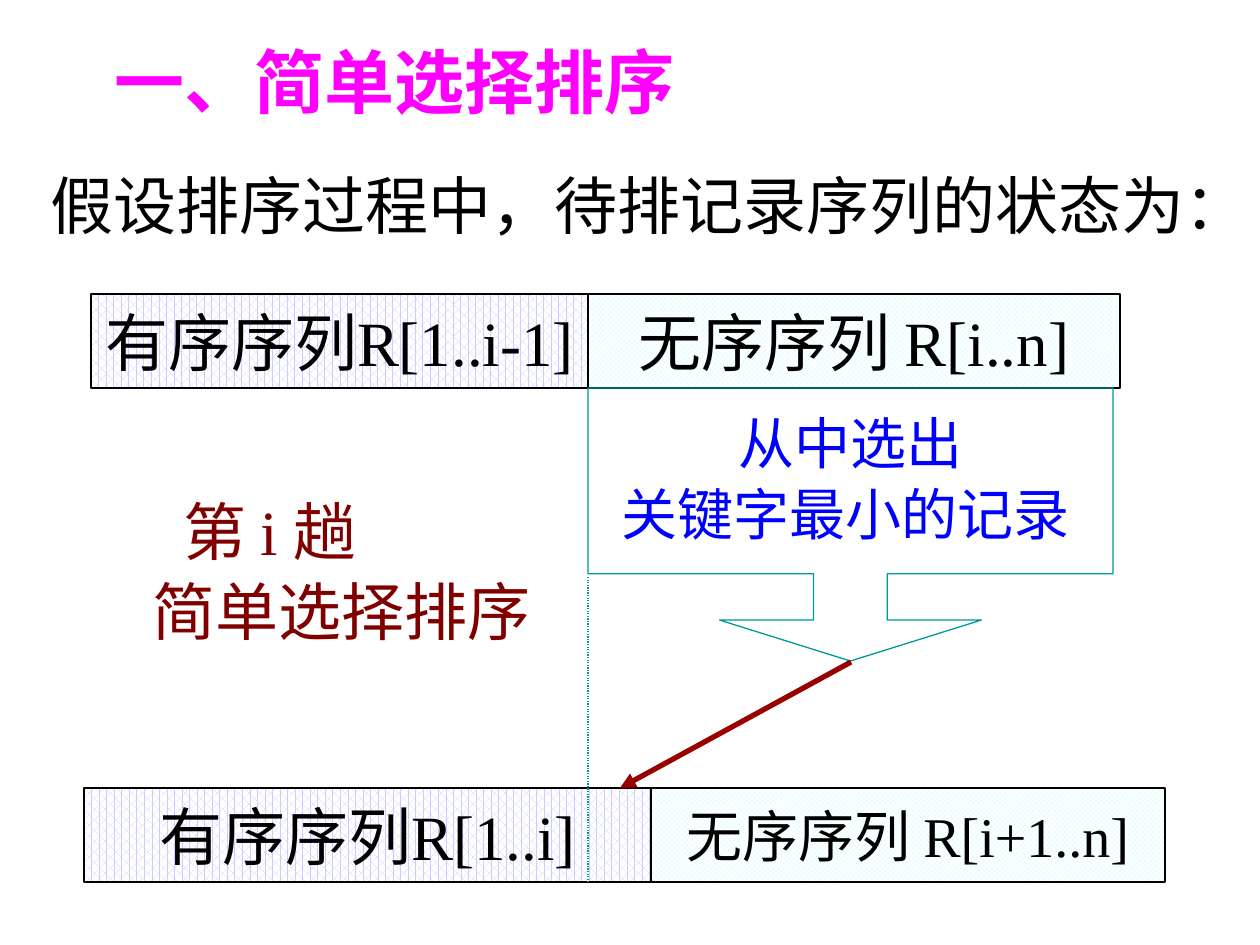
import pptx
import pptx.util
import pptx.dml.color
import pptx.enum.dml
import pptx.enum.shapes
import pptx.enum.text
import pptx.oxml
import pptx.oxml.ns

PX = 914400 / 126
THEME = {
    "title": {"size": 40, "color": "FF00FF", "bold": True},
    "body": {"size": 36, "color": "000000"},
    "compact": {"size": 32, "color": "000000"},
    "pass": {"size": 36, "color": "800000"},
    "select": {"size": 32, "color": "0000FF"},
    "latin": "Times New Roman", "cjk": "Noto Sans CJK SC",
    "outline": "000000", "teal": "009999", "arrow": "990000",
    "sorted": "CCCCFF", "unsorted": "CCFFFF", "paper": "FFFFFF",
}
RGB = pptx.dml.color.RGBColor.from_string
LEFT, CENTER = pptx.enum.text.PP_ALIGN.LEFT, pptx.enum.text.PP_ALIGN.CENTER
SHAPES = pptx.enum.shapes.MSO_SHAPE
PATTERNS = pptx.enum.dml.MSO_PATTERN


def emu(*lengths):
    return [pptx.util.Emu(round(length * PX)) for length in lengths]


def write(frame, lines, style, frame_format, spacing=1.0):
    """Each line is (alignment, [(text, font name), ...])."""
    for name, value in frame_format.items():
        setattr(frame, name, value)
    for index, (alignment, runs) in enumerate(lines):
        paragraph = frame.add_paragraph() if index else frame.paragraphs[0]
        for name, value in {"alignment": alignment, "line_spacing": spacing}.items():
            setattr(paragraph, name, value)
        for text, typeface in runs:
            run = paragraph.add_run()
            run.text = text
            font_format = {"name": typeface, "size": pptx.util.Pt(style["size"]),
                           "bold": style.get("bold", False)}
            for name, value in font_format.items():
                setattr(run.font, name, value)
            run.font.color.rgb = RGB(style["color"])


deck = pptx.Presentation()
deck.slide_width, deck.slide_height = emu(1260, 945)
slide = deck.slides.add_slide(deck.slide_layouts[5])
latin, cjk = THEME["latin"], THEME["cjk"]
grow = {"auto_size": pptx.enum.text.MSO_AUTO_SIZE.SHAPE_TO_FIT_TEXT,
        "vertical_anchor": pptx.enum.text.MSO_ANCHOR.TOP}

# Title
title = slide.shapes.title
title.left, title.top, title.width, title.height = emu(102, 32, 591, 97)
write(title.text_frame, [(LEFT, [("一、简单选择排序", latin)])],
      THEME["title"], {**grow, "word_wrap": False})

# Premise
premise = slide.shapes.add_textbox(*emu(38, 160, 1222, 88))
write(premise.text_frame, [(LEFT, [("假设排序过程中，待排记录序列的状态为：", latin)])],
      THEME["body"], {**grow, "word_wrap": False})

# Sequence before and after the pass
sequences = [
    (91, 294, 497, "sorted", "body", [("有序序列R[1..i-1]", latin)]),
    (588, 294, 532, "unsorted", "body", [("无序序列 R[i..n]", latin)]),
    (84, 788, 567, "sorted", "body", [("有序序列", cjk), ("R[1..i]", latin)]),
    (651, 788, 514, "unsorted", "compact", [("无序序列 ", cjk), ("R[i+1..n]", latin)]),
]
patterns = {"sorted": PATTERNS.PERCENT_60, "unsorted": PATTERNS.TRELLIS}
for left, top, width, state, style, runs in sequences:
    sequence = slide.shapes.add_shape(SHAPES.RECTANGLE, *emu(left, top, width, 94))
    sequence.shadow.inherit = False
    sequence.fill.patterned()
    sequence.fill.pattern = patterns[state]
    sequence.fill.fore_color.rgb = RGB(THEME[state])
    sequence.fill.back_color.rgb = RGB(THEME["paper"])
    sequence.line.color.rgb = RGB(THEME["outline"])
    sequence.line.width = pptx.util.Pt(0.75)
    write(sequence.text_frame, [(CENTER, runs)], THEME[style],
          {"word_wrap": False, "vertical_anchor": pptx.enum.text.MSO_ANCHOR.MIDDLE})

# Pass label, its first line indented
pass_label = slide.shapes.add_textbox(*emu(140, 483, 427, 171))
write(pass_label.text_frame,
      [(LEFT, [("第 i 趟", latin)]), (LEFT, [("简单选择排序", latin)])],
      THEME["pass"], {**grow, "word_wrap": True}, 1.05)
first_line = pass_label.text_frame.paragraphs[0]._p.get_or_add_pPr()
first_line.set("marL", "0")
first_line.set("indent", str(emu(31)[0]))

# Selection step and its callout
selection = slide.shapes.add_textbox(*emu(609, 399, 483, 154))
write(selection.text_frame,
      [(CENTER, [("从中选出", latin)]), (LEFT, [("关键字最小的记录", latin)])],
      THEME["select"], {**grow, "word_wrap": True}, 1.05)
callout = slide.shapes.add_shape(SHAPES.DOWN_ARROW_CALLOUT, *emu(588, 388, 525, 273))
callout.shadow.inherit = False
callout.fill.background()
callout.line.color.rgb = RGB(THEME["teal"])
callout.line.width = pptx.util.Pt(0.75)
for index, share in enumerate([0.27, 0.48, 0.15, 0.68]):
    callout.adjustments[index] = share

# Arrow to the new sorted record, and the dotted old boundary
lines = [
    ((851, 662, 620, 788), "arrow", 3, "a:tailEnd", {"type": "triangle"}),
    ((588, 577, 588, 882), "teal", 0.75, "a:prstDash", {"val": "sysDot"}),
]
for ends, color, weight, tag, attributes in lines:
    line = slide.shapes.add_connector(pptx.enum.shapes.MSO_CONNECTOR.STRAIGHT, *emu(*ends))
    line.line.color.rgb = RGB(THEME[color])
    line.line.width = pptx.util.Pt(weight)
    detail = pptx.oxml.ns.qn(tag)
    line.line._get_or_add_ln().append(
        line._element.makeelement(detail, attributes))
    line._element.spPr.append(
        line._element.makeelement(pptx.oxml.ns.qn("a:effectLst"), {}))

deck.save("out.pptx")
